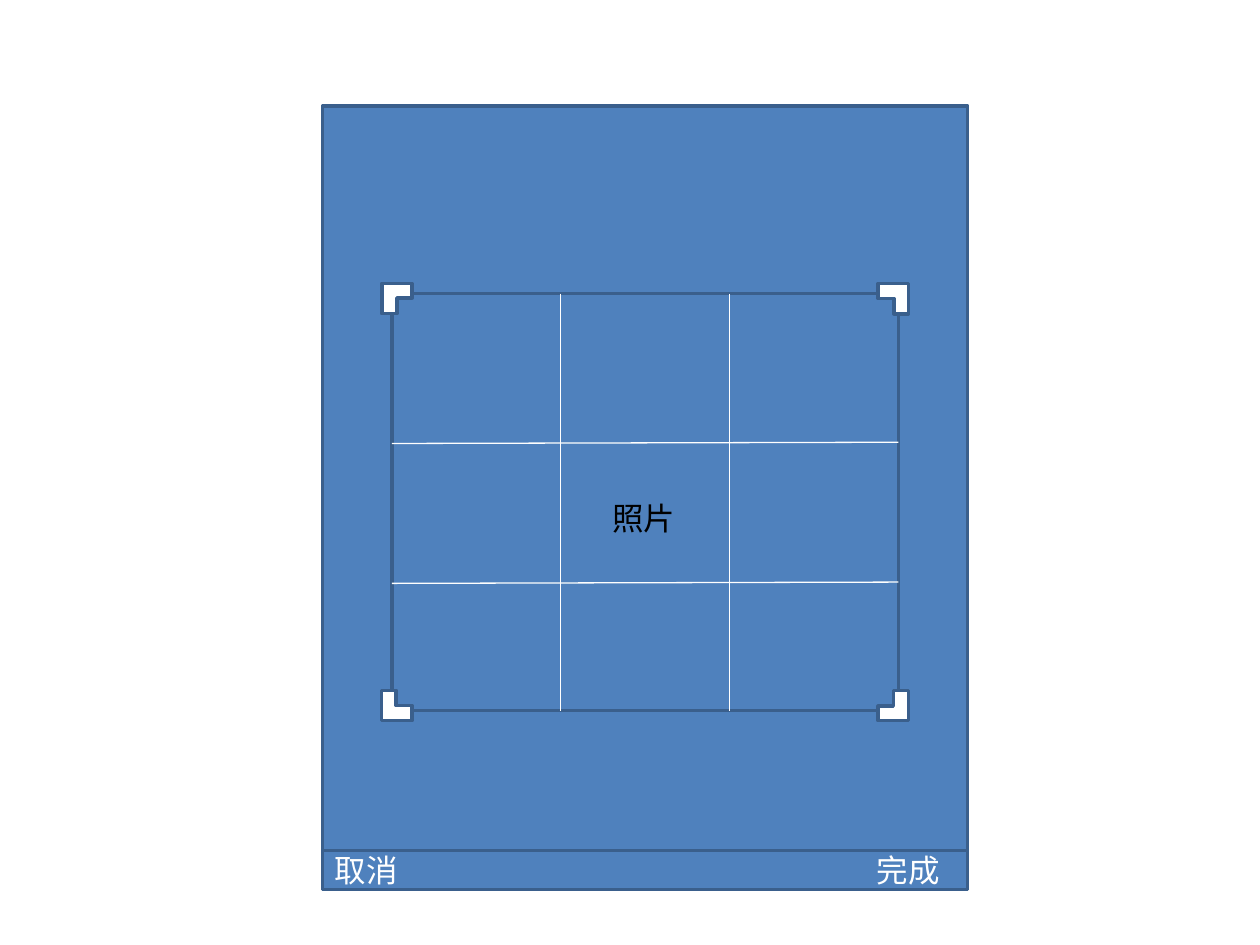
import lxml.etree
import pptx
import pptx.dml.color
import pptx.enum.shapes
import pptx.enum.text
import pptx.oxml.ns
import pptx.util

Inches = pptx.util.Inches
SHAPE = pptx.enum.shapes.MSO_SHAPE
BLUE, EDGE, WHITE, BLACK = "4F81BD", "3A5F8C", "FFFFFF", "000000"


def color(hex_string):
    return pptx.dml.color.RGBColor.from_string(hex_string)


def sub_element(parent, tag, **attributes):
    return lxml.etree.SubElement(parent, pptx.oxml.ns.qn(tag), attributes)


def add_panel(slide, kind, left, top, width, height, fill=BLUE):
    panel = slide.shapes.add_shape(
        kind, Inches(left), Inches(top), Inches(width), Inches(height))
    panel.shadow.inherit = False
    panel.fill.solid()
    panel.fill.fore_color.rgb = color(fill)
    panel.line.color.rgb = color(EDGE)
    panel.line.width = pptx.util.Pt(2)
    return panel


def add_guide(slide, x1, y1, x2, y2):
    guide = slide.shapes.add_connector(
        pptx.enum.shapes.MSO_CONNECTOR.STRAIGHT,
        Inches(x1), Inches(y1), Inches(x2), Inches(y2))
    guide.line.color.rgb = color(WHITE)
    guide.line.width = pptx.util.Pt(0.75)
    sub_element(guide._element.spPr, "a:effectLst")


def write_text(frame, text, size=18, font="Calibri", fill=BLACK, right_tab=None,
               anchor=pptx.enum.text.MSO_ANCHOR.TOP):
    frame.word_wrap = True
    frame.vertical_anchor = anchor
    paragraph = frame.paragraphs[0]
    paragraph.alignment = pptx.enum.text.PP_ALIGN.LEFT
    if right_tab:
        tabs = sub_element(paragraph._p.get_or_add_pPr(), "a:tabLst")
        sub_element(tabs, "a:tab", pos=str(Inches(right_tab)), algn="r")
    run = paragraph.add_run()
    run.text = text
    run.font.size = pptx.util.Pt(size)
    run.font.name = font
    run.font.color.rgb = color(fill)


def add_crop_frame(slide, left, top, width, height):
    add_panel(slide, SHAPE.RECTANGLE, left, top, width, height)
    right, bottom = left + width, top + height
    for column in (1, 2):
        x = left + width * column / 3
        add_guide(slide, x, top, x, bottom)
    for offset in (1.18, 2.29):
        add_guide(slide, right, top + offset, left, top + offset + 0.01)

    handle_size, overhang = 0.24, 0.08
    near_x, near_y = left - overhang, top - overhang
    far_x = right + overhang - handle_size
    far_y = bottom + overhang - handle_size
    for x, y, rotation in ((near_x, far_y, 0), (far_x, near_y, 180),
                           (far_x, far_y, 270), (near_x, near_y, 90)):
        handle = add_panel(slide, SHAPE.CORNER, x, y, handle_size, handle_size, WHITE)
        handle.adjustments[0] = 0.5
        handle.adjustments[1] = 0.48
        handle.rotation = rotation


def add_action_bar(slide, left, top, width, height):
    bar = add_panel(slide, SHAPE.RECTANGLE, left, top, width, height)
    write_text(bar.text_frame, "取消\t完成", fill=WHITE, right_tab=width - 0.32,
               anchor=pptx.enum.text.MSO_ANCHOR.MIDDLE)


def add_photo_label(slide, left, top, width, height):
    label = slide.shapes.add_textbox(
        Inches(left), Inches(top), Inches(width), Inches(height))
    write_text(label.text_frame, "照片")
    label.text_frame.auto_size = pptx.enum.text.MSO_AUTO_SIZE.SHAPE_TO_FIT_TEXT


def add_phone_screen(slide, left, top, width, height):
    bar_height = 0.31
    add_panel(slide, SHAPE.RECTANGLE, left, top, width, height)
    add_crop_frame(slide, left + 0.55, top + 1.49, 4.02, 3.31)
    add_action_bar(slide, left, top + height - bar_height, width, bar_height)
    add_photo_label(slide, left + 2.2, top + 3.07, 1.42, 0.4)


def main():
    presentation = pptx.Presentation()
    presentation.slide_width = Inches(10)
    presentation.slide_height = Inches(7.5)
    slide = presentation.slides.add_slide(presentation.slide_layouts[6])
    add_phone_screen(slide, 2.56, 0.84, 5.12, 6.22)
    presentation.save("out.pptx")


if __name__ == "__main__":
    main()
